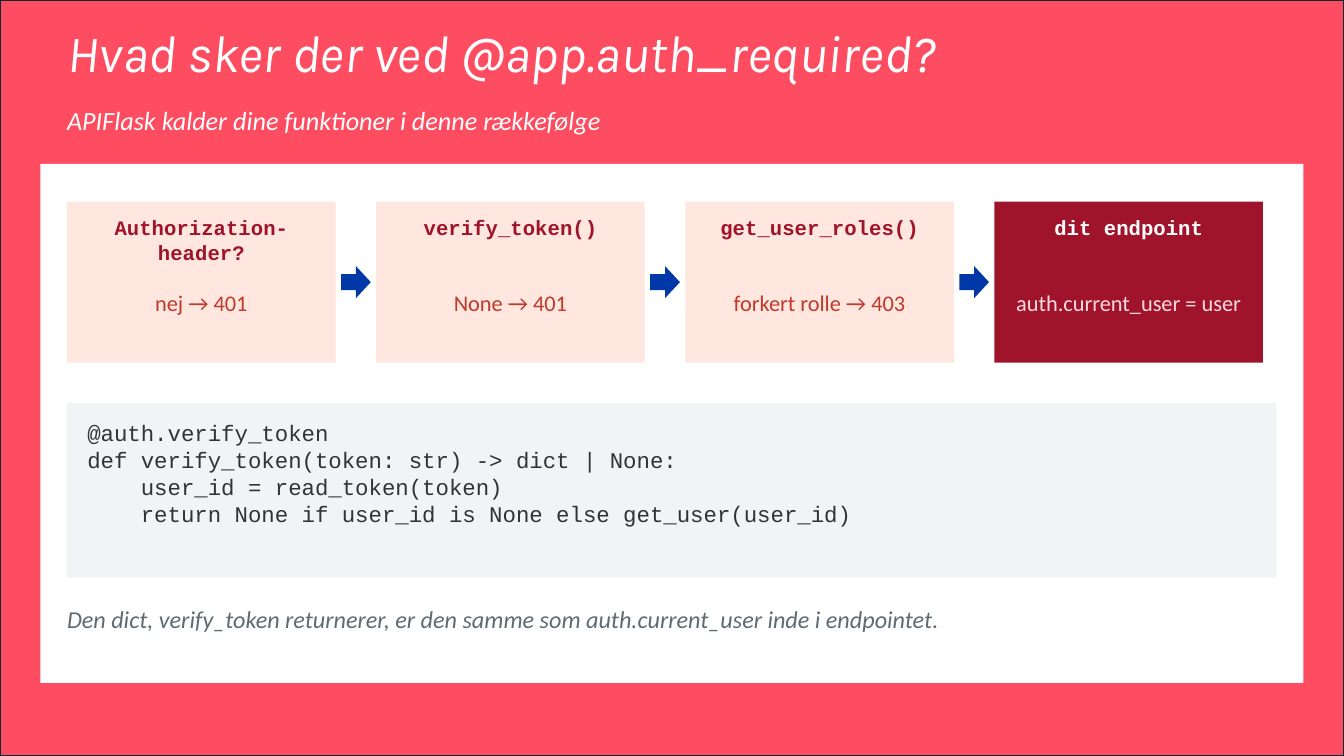
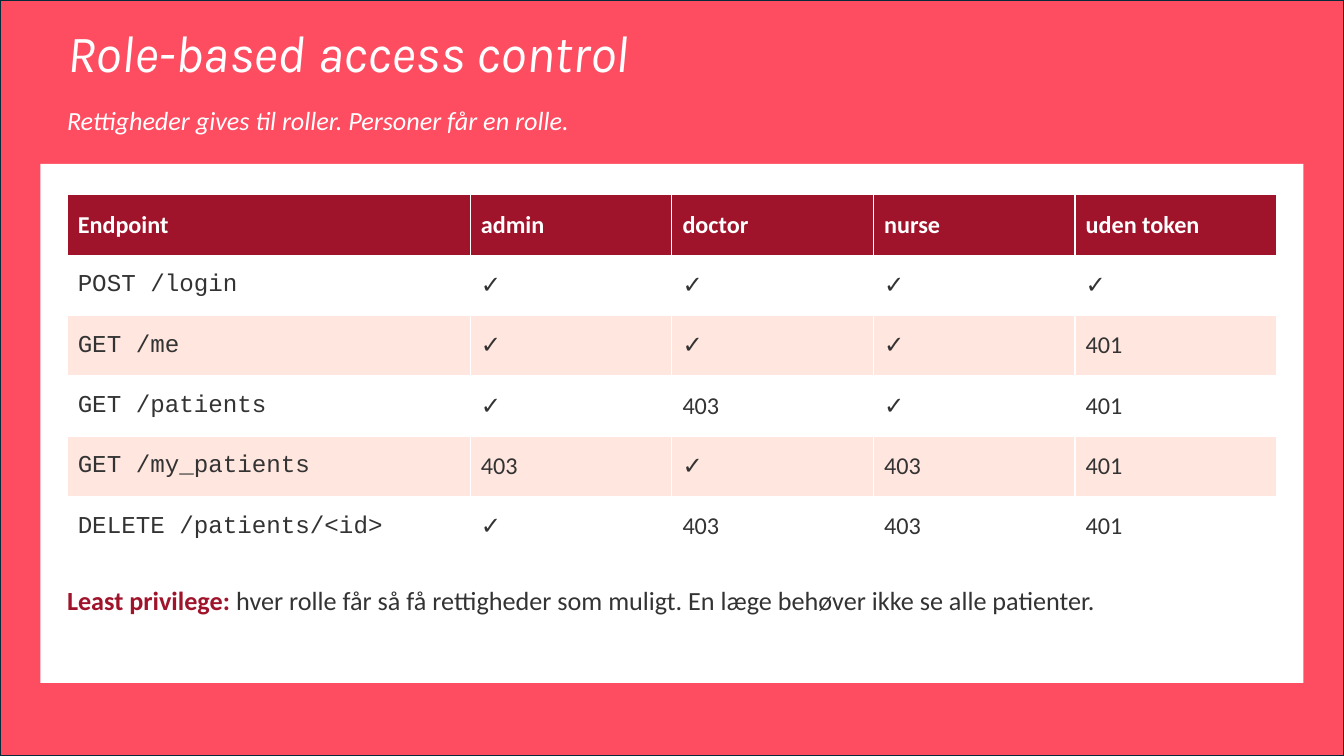
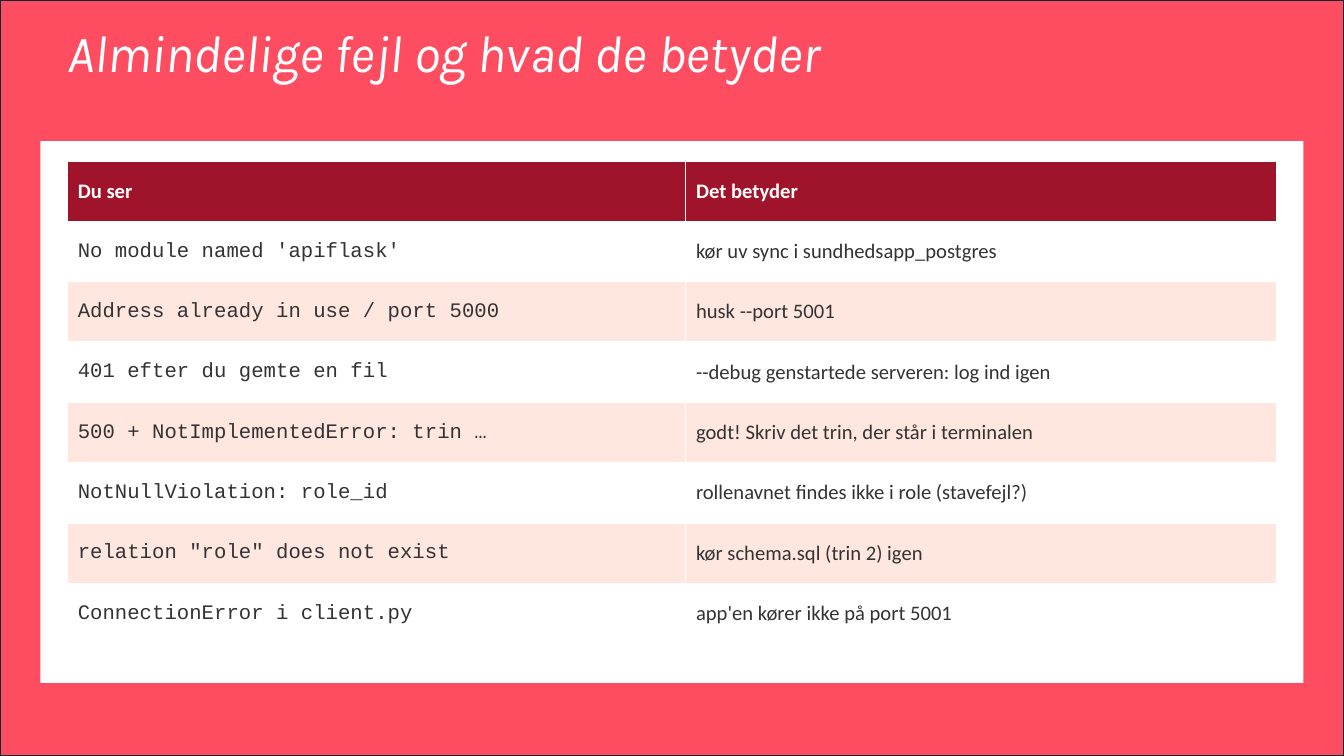
from pptx import Presentation
from pptx import util as u
from pptx.dml.color import RGBColor
from pptx.enum import shapes, text
from pptx.util import Cm

COLORS = {
    "coral": "FE4C61", "frame": "092A39", "white": "FFFFFF", "blush": "FFE6DE",
    "crimson": "A0142B", "red": "C0392B", "pink": "FFD9DF", "blue": "0038A8",
    "code": "F2F3F4", "ink": "333333", "gray": "5F6B73",
}
SANS, MONO, DISPLAY = "Calibri", "Courier New", "Karla"
WIDTH, HEIGHT = Cm(33.87), Cm(19.05)
LEFT, CONTENT_WIDTH = Cm(1.69), Cm(30.48)
CARD_LEFT, CARD_BOTTOM = Cm(1.02), Cm(17.21)

FLOW = {
    "title": "Hvad sker der ved @app.auth_required?",
    "subtitle": "APIFlask kalder dine funktioner i denne rækkefølge",
    "steps": [
        ("Authorization-header?", "nej → 401"),
        ("verify_token()", "None → 401"),
        ("get_user_roles()", "forkert rolle → 403"),
        ("dit endpoint", "auth.current_user = user"),
    ],
    "code": [
        "@auth.verify_token",
        "def verify_token(token: str) -> dict | None:",
        "    user_id = read_token(token)",
        "    return None if user_id is None else get_user(user_id)",
    ],
    "note": "Den dict, verify_token returnerer, er den samme som "
            "auth.current_user inde i endpointet.",
}
ROLES = {
    "title": "Role-based access control",
    "subtitle": "Rettigheder gives til roller. Personer får en rolle.",
    "rows": [
        ("Endpoint", "admin", "doctor", "nurse", "uden token"),
        ("POST /login", "✓", "✓", "✓", "✓"),
        ("GET /me", "✓", "✓", "✓", "401"),
        ("GET /patients", "✓", "403", "✓", "401"),
        ("GET /my_patients", "403", "✓", "403", "401"),
        ("DELETE /patients/<id>", "✓", "403", "403", "401"),
    ],
    "note": ("Least privilege: ",
             "hver rolle får så få rettigheder som muligt. "
             "En læge behøver ikke se alle patienter."),
}
ERRORS = {
    "title": "Almindelige fejl og hvad de betyder",
    "rows": [
        ("Du ser", "Det betyder"),
        ("No module named 'apiflask'", "kør uv sync i sundhedsapp_postgres"),
        ("Address already in use / port 5000", "husk --port 5001"),
        ("401 efter du gemte en fil", "--debug genstartede serveren: log ind igen"),
        ("500 + NotImplementedError: trin …", "godt! Skriv det trin, der står i terminalen"),
        ("NotNullViolation: role_id", "rollenavnet findes ikke i role (stavefejl?)"),
        ('relation "role" does not exist', "kør schema.sql (trin 2) igen"),
        ("ConnectionError i client.py", "app'en kører ikke på port 5001"),
    ],
}


def color(name):
    return RGBColor.from_string(COLORS[name])


def style(font, size, fill, name=SANS, bold=False, italic=False):
    font.size, font.name, font.bold, font.italic = u.Pt(size), name, bold, italic
    font.color.rgb = color(fill)


def add_box(slide, left, top, width, height, fill, line=None,
            kind=shapes.MSO_SHAPE.RECTANGLE):
    shape = slide.shapes.add_shape(kind, left, top, width, height)
    shape.shadow.inherit = False
    shape.fill.solid()
    shape.fill.fore_color.rgb = color(fill)
    if line:
        shape.line.color.rgb = color(line)
        shape.line.width = u.Pt(1.5)
    else:
        shape.line.fill.background()


def add_text(slide, left, top, width, height, lines, size, fill,
             align=text.PP_ALIGN.LEFT, spacing=None, **font):
    frame = slide.shapes.add_textbox(left, top, width, height).text_frame
    frame.word_wrap = True
    frame.margin_left = frame.margin_right = frame.margin_top = frame.margin_bottom = 0
    frame.text = lines
    for paragraph in frame.paragraphs:
        paragraph.alignment = align
        if spacing:
            paragraph.line_spacing = spacing
        for run in paragraph.runs:
            style(run.font, size, fill, **font)
    return frame


def add_slide(presentation, content, card_top):
    slide = presentation.slides.add_slide(presentation.slide_layouts[6])
    add_box(slide, 0, 0, WIDTH, HEIGHT, "coral", line="frame")
    add_text(slide, LEFT, Cm(0.68), CONTENT_WIDTH, Cm(1.86), content["title"],
             37.3, "white", spacing=0.9, name=DISPLAY, italic=True)
    add_box(slide, CARD_LEFT, card_top, WIDTH - 2 * CARD_LEFT,
            CARD_BOTTOM - card_top, "white")
    if "subtitle" in content:
        add_text(slide, LEFT, Cm(2.64), CONTENT_WIDTH, Cm(1.19),
                 content["subtitle"], 18.7, "white", italic=True)
    return slide


def add_table(slide, rows, top, widths, size):
    row_height = Cm(1.52)
    table = slide.shapes.add_table(len(rows), len(widths), LEFT, top,
                                   CONTENT_WIDTH, row_height * len(rows)).table
    for column, width in zip(table.columns, widths):
        column.width = width
    for i, row in enumerate(rows):
        table.rows[i].height = row_height
        header = i == 0
        for j, value in enumerate(row):
            cell = table.cell(i, j)
            cell.text = value
            cell.vertical_anchor = text.MSO_ANCHOR.MIDDLE
            cell.margin_left = cell.margin_right = Cm(0.27)
            cell.margin_top = cell.margin_bottom = Cm(0.1)
            cell.fill.solid()
            cell.fill.fore_color.rgb = color(
                "crimson" if header else "white" if i % 2 else "blush")
            style(cell.text_frame.paragraphs[0].runs[0].font, size,
                  "white" if header else "ink",
                  name=SANS if header or j else MONO, bold=header)


def add_steps(slide, steps):
    top, width, height, gap, pad = Cm(5.08), Cm(6.77), Cm(4.06), Cm(1.02), Cm(0.34)
    arrow_width, arrow_height = Cm(0.75), Cm(0.81)
    for i, (name, result) in enumerate(steps):
        left = LEFT + i * (width + gap)
        last = i == len(steps) - 1
        box, name_color, result_color = (
            ("crimson", "white", "pink") if last else ("blush", "crimson", "red"))
        add_box(slide, left, top, width, height, box)
        inner = left + pad, width - 2 * pad
        add_text(slide, inner[0], top + pad, inner[1], Cm(1.69), name, 14.7,
                 name_color, align=text.PP_ALIGN.CENTER, name=MONO, bold=True)
        add_text(slide, inner[0], top + Cm(2.2), inner[1], Cm(1.52), result, 16,
                 result_color, align=text.PP_ALIGN.CENTER)
        if not last:
            add_box(slide, left + width + (gap - arrow_width) // 2,
                    top + (height - arrow_height) // 2, arrow_width, arrow_height,
                    "blue", kind=shapes.MSO_SHAPE.RIGHT_ARROW)


def build_flow(presentation):
    slide = add_slide(presentation, FLOW, Cm(4.13))
    add_steps(slide, FLOW["steps"])
    add_box(slide, LEFT, Cm(10.16), CONTENT_WIDTH, Cm(4.4), "code")
    add_text(slide, LEFT + Cm(0.51), Cm(10.57), Cm(29.46), Cm(3.73),
             "\n".join(FLOW["code"]), 16, "ink", name=MONO)
    add_text(slide, LEFT, Cm(15.24), CONTENT_WIDTH, Cm(1.69), FLOW["note"],
             17.3, "gray", italic=True)


def build_roles(presentation):
    slide = add_slide(presentation, ROLES, Cm(4.13))
    add_table(slide, ROLES["rows"], Cm(4.91), [Cm(10.16)] + [Cm(5.08)] * 4, 17.3)
    term, explanation = ROLES["note"]
    frame = add_text(slide, LEFT, Cm(14.73), CONTENT_WIDTH, Cm(2.37), term,
                     18.7, "crimson", bold=True)
    run = frame.paragraphs[0].add_run()
    run.text = explanation
    style(run.font, 18.7, "ink")


def build_errors(presentation):
    slide = add_slide(presentation, ERRORS, Cm(3.56))
    add_table(slide, ERRORS["rows"], Cm(4.06), [Cm(15.58), Cm(14.9)], 14.7)


def main():
    presentation = Presentation()
    presentation.slide_width, presentation.slide_height = WIDTH, HEIGHT
    for build in (build_flow, build_roles, build_errors):
        build(presentation)
    presentation.save("out.pptx")


if __name__ == "__main__":
    main()
